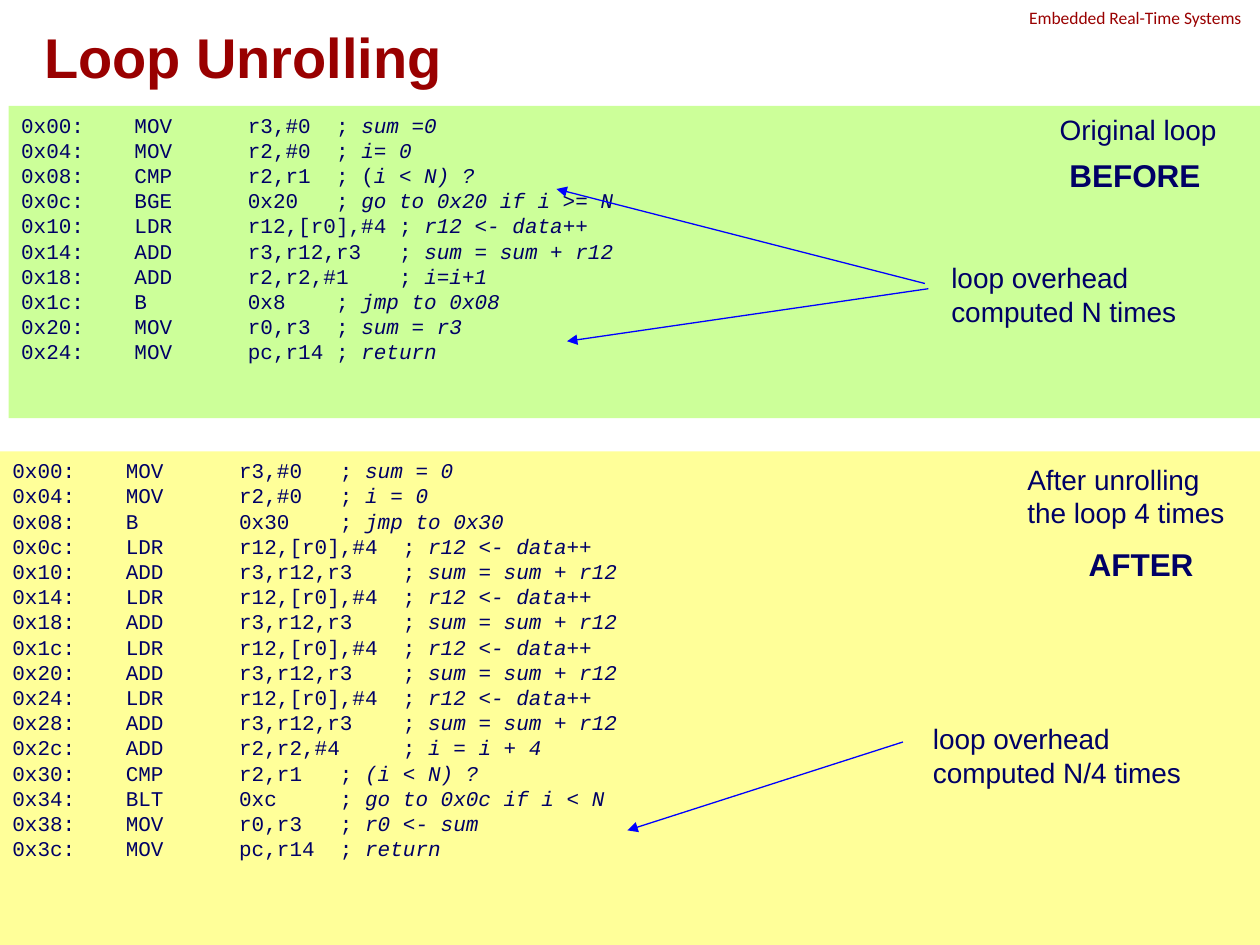
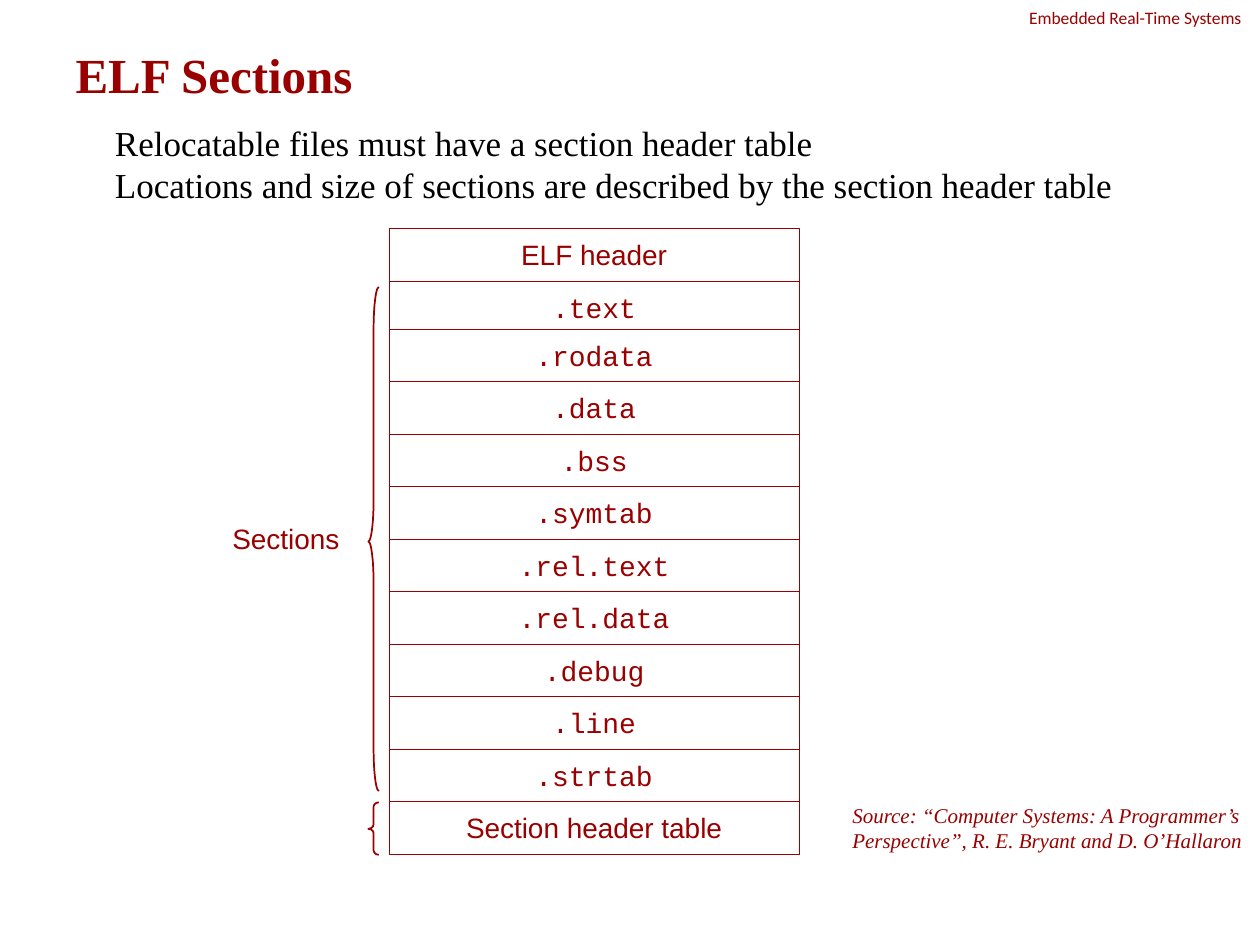
"""Builds two lecture slides on loop unrolling and ELF sections."""
from lxml.etree import SubElement
from pptx import Presentation
from pptx.dml.color import RGBColor
from pptx.enum.shapes import MSO_CONNECTOR, MSO_SHAPE
from pptx.enum.text import MSO_ANCHOR, MSO_AUTO_SIZE, PP_ALIGN
from pptx.oxml.ns import qn
from pptx.util import Pt

RED = RGBColor(0x99, 0x00, 0x00)
NAVY = RGBColor(0x00, 0x00, 0x66)
BLUE = RGBColor(0x00, 0x00, 0xFF)
BLACK = RGBColor(0x00, 0x00, 0x00)
WHITE = RGBColor(0xFF, 0xFF, 0xFF)
GREEN = RGBColor(0xCC, 0xFF, 0x99)
YELLOW = RGBColor(0xFF, 0xFF, 0x99)
SANS, SERIF, MONO = "Arial", "Times New Roman", "Courier New"
LINE_HEIGHT = 1.2
MONO_ADVANCE = 7.2
TITLE_ONLY, TITLE_AND_CONTENT = 5, 1

ORIGINAL_LOOP = [
    ("MOV", "r3,#0", "sum =0"),
    ("MOV", "r2,#0", "i= 0"),
    ("CMP", "r2,r1", "i < N) ?", "; ("),
    ("BGE", "0x20", "go to 0x20 if i >= N"),
    ("LDR", "r12,[r0],#4", "r12 <- data++"),
    ("ADD", "r3,r12,r3", "sum = sum + r12"),
    ("ADD", "r2,r2,#1", "i=i+1"),
    ("B", "0x8", "jmp to 0x08"),
    ("MOV", "r0,r3", "sum = r3"),
    ("MOV", "pc,r14", "return"),
]
LOOP_BODY = [
    ("LDR", "r12,[r0],#4", "r12 <- data++"),
    ("ADD", "r3,r12,r3", "sum = sum + r12"),
]
UNROLLED_LOOP = [
    ("MOV", "r3,#0", "sum = 0"),
    ("MOV", "r2,#0", "i = 0"),
    ("B", "0x30", "jmp to 0x30"),
    *LOOP_BODY * 4,
    ("ADD", "r2,r2,#4", "i = i + 4"),
    ("CMP", "r2,r1", "(i < N) ?"),
    ("BLT", "0xc", "go to 0x0c if i < N"),
    ("MOV", "r0,r3", "r0 <- sum"),
    ("MOV", "pc,r14", "return"),
]
SECTIONS = [".text", ".rodata", ".data", ".bss", ".symtab", ".rel.text",
            ".rel.data", ".debug", ".line", ".strtab"]


def write(paragraph, text, size=16, font=SANS, color=NAVY, bold=False,
          italic=False, align=PP_ALIGN.LEFT):
    """Append a formatted run to a paragraph."""
    paragraph.alignment = align
    paragraph.line_spacing = Pt(LINE_HEIGHT * size)
    paragraph.space_before = Pt(0)
    run = paragraph.add_run()
    run.text = text
    run.font.size = Pt(size)
    run.font.name = font
    run.font.bold = bold
    run.font.italic = italic
    run.font.color.rgb = color


def write_lines(frame, lines, **style):
    """Write one paragraph for each line."""
    for number, line in enumerate(lines):
        paragraph = frame.add_paragraph() if number else frame.paragraphs[0]
        write(paragraph, line, **style)


def set_tabs(paragraph, stops):
    """Give a paragraph left tab stops, in points."""
    tabs = SubElement(paragraph._p.get_or_add_pPr(), qn("a:tabLst"))
    for stop in stops:
        SubElement(tabs, qn("a:tab"), pos=str(Pt(stop)), algn="l")


def place(shape, left, top, width, height):
    """Move and size a shape, in points."""
    shape.left, shape.top = Pt(left), Pt(top)
    shape.width, shape.height = Pt(width), Pt(height)


class LectureDeck:
    """Holds the lecture style and the slide being built."""

    def __init__(self):
        self.presentation = Presentation()
        self.presentation.slide_width = Pt(720)
        self.presentation.slide_height = Pt(540)
        self.slide = None

    def add_slide(self, layout, title, box, **style):
        """Start a slide with its title and the course name."""
        layouts = self.presentation.slide_layouts
        self.slide = self.presentation.slides.add_slide(layouts[layout])
        heading = self.slide.shapes.title
        place(heading, *box)
        frame = heading.text_frame
        frame.auto_size = MSO_AUTO_SIZE.NONE
        frame.vertical_anchor = MSO_ANCHOR.MIDDLE
        write(frame.paragraphs[0], title, color=RED, bold=True, **style)
        self.label(["Embedded Real-Time Systems"], 581, 0.7, 163, 19,
                   size=10, font="Calibri", color=RED)

    def body(self, lines, box, indent, **style):
        """Fill the body placeholder with unbulleted lines."""
        placeholder = self.slide.placeholders[1]
        place(placeholder, *box)
        frame = placeholder.text_frame
        frame.auto_size = MSO_AUTO_SIZE.NONE
        write_lines(frame, lines, **style)
        for paragraph in frame.paragraphs:
            properties = paragraph._p.get_or_add_pPr()
            properties.set("marL", str(Pt(indent)))
            properties.set("indent", "0")
            SubElement(properties, qn("a:buNone"))

    def label(self, lines, left, top, width, height, **style):
        """Add a text box."""
        box = self.slide.shapes.add_textbox(Pt(left), Pt(top), Pt(width), Pt(height))
        box.text_frame.word_wrap = True
        write_lines(box.text_frame, lines, **style)

    def shape(self, kind, box, fill=None, line_width=0):
        """Add a flat shape with an optional fill and red outline."""
        shape = self.slide.shapes.add_shape(kind, *map(Pt, box))
        shape.shadow.inherit = False
        if fill is None:
            shape.fill.background()
        else:
            shape.fill.solid()
            shape.fill.fore_color.rgb = fill
        if line_width:
            shape.line.color.rgb = RED
            shape.line.width = Pt(line_width)
        else:
            shape.line.fill.background()
        return shape

    def code_panel(self, listing, box, fill, near, far):
        """Add an assembly listing; long operands push the comment to far."""
        frame = self.shape(MSO_SHAPE.RECTANGLE, box, fill).text_frame
        frame.vertical_anchor = MSO_ANCHOR.TOP
        for number, (mnemonic, operands, comment, *lead) in enumerate(listing):
            paragraph = frame.add_paragraph() if number else frame.paragraphs[0]
            start = lead[0] if lead else "; "
            code = f"0x{4 * number:02x}:\t{mnemonic}\t{operands}\t{start}"
            write(paragraph, code, size=12, font=MONO)
            write(paragraph, comment, size=12, font=MONO, italic=True)
            comment_stop = far if len(operands) >= 8 else near
            set_tabs(paragraph, (9 * MONO_ADVANCE, 18 * MONO_ADVANCE, comment_stop))

    def arrow(self, tip, origin):
        """Add a line with an arrowhead at its tip."""
        connector = self.slide.shapes.add_connector(
            MSO_CONNECTOR.STRAIGHT, *map(Pt, (*tip, *origin)))
        connector.line.color.rgb = BLUE
        connector.line.width = Pt(0.75)
        properties = connector.element.spPr
        SubElement(properties.find(qn("a:ln")), qn("a:headEnd"), type="triangle")
        SubElement(properties, qn("a:effectLst"))

    def cell(self, text, top, font):
        """Add one row of the object file diagram."""
        shape = self.shape(MSO_SHAPE.RECTANGLE, (222.5, top, 234, 30), WHITE, 0.25)
        shape.text_frame.vertical_anchor = MSO_ANCHOR.MIDDLE
        write(shape.text_frame.paragraphs[0], text, font=font, color=RED,
              align=PP_ALIGN.CENTER)

    def brace(self, top, height, curve):
        """Add a left brace beside the diagram."""
        shape = self.shape(MSO_SHAPE.LEFT_BRACE, (210.5, top, 6, height), line_width=1)
        shape.adjustments[0] = curve
        shape.adjustments[1] = 0.505


def build_loop_unrolling(deck):
    """Compare the loop before and after unrolling."""
    deck.add_slide(TITLE_ONLY, "Loop Unrolling", (18, 11, 664, 42), size=32)
    deck.code_panel(ORIGINAL_LOOP, (5, 60.5, 715, 178.5), GREEN, 180, 216)
    deck.code_panel(UNROLLED_LOOP, (0, 258, 720, 282), YELLOW, 187.2, 223.2)
    for lines, left, top in (
        (["Original loop"], 598.5, 60.5),
        (["loop overhead", "computed N times"], 536.5, 145.5),
        (["After unrolling", "the loop 4 times"], 580, 260.5),
        (["loop overhead", "computed N/4 times"], 526, 409),
    ):
        deck.label(lines, left, top, 720 - left, 26.5 if len(lines) == 1 else 49.5)
    deck.label(["BEFORE"], 604, 85.5, 100, 29, size=18, bold=True)
    deck.label(["AFTER"], 615, 308, 100, 29, size=18, bold=True)
    deck.arrow((318, 108), (528.5, 162))
    deck.arrow((324, 195), (530.5, 165))
    deck.arrow((358.5, 474.5), (516, 424))


def build_elf_sections(deck):
    """Show the layout of a relocatable ELF file."""
    deck.add_slide(TITLE_AND_CONTENT, "ELF Sections", (36, 21.5, 648, 42),
                   size=28, font=SERIF)
    deck.body(["Relocatable files must have a section header table",
               "Locations and size of sections are described by the section header table"],
              (22.5, 66, 681, 62), 36, size=20, font=SERIF, color=BLACK)
    deck.cell("ELF header", 130.5, SANS)
    for number, section in enumerate(SECTIONS):
        deck.cell(section, 158 + 30 * number if number else 160.5, MONO)
    deck.cell("Section header table", 458, SANS)
    deck.brace(164, 288, 4)
    deck.brace(458.5, 30, 0.42)
    deck.label(["Sections"], 104, 294.5, 97, 26.5, color=RED, align=PP_ALIGN.RIGHT)
    deck.label(["Source: “Computer Systems: A Programmer’s Perspective”, "
                "R. E. Bryant and D. O’Hallaron"],
               480, 455, 240, 36, size=12, font=SERIF, color=RED, italic=True)


def main():
    """Build and save the presentation."""
    deck = LectureDeck()
    build_loop_unrolling(deck)
    build_elf_sections(deck)
    deck.presentation.save("out.pptx")


if __name__ == "__main__":
    main()
